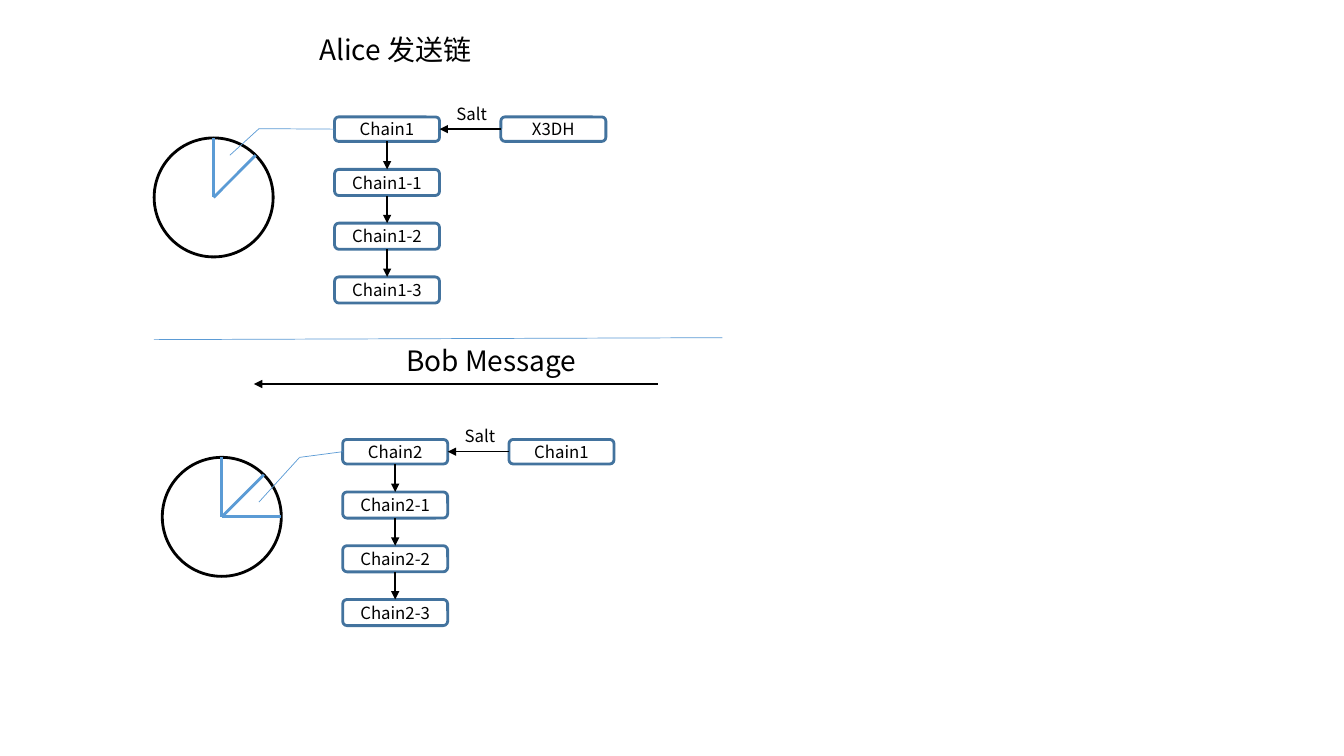
"""Draw the sending chains of Alice, before and after a message from Bob."""
from math import cos, radians, sin

from lxml import etree
from pptx import Presentation
from pptx.dml.color import RGBColor
from pptx.enum.shapes import MSO_CONNECTOR, MSO_SHAPE
from pptx.enum.text import MSO_ANCHOR, PP_ALIGN
from pptx.oxml.ns import qn
from pptx.util import Pt

STRAIGHT = MSO_CONNECTOR.STRAIGHT
ROUND, OVAL = MSO_SHAPE.ROUNDED_RECTANGLE, MSO_SHAPE.OVAL
MIDDLE, CENTER = MSO_ANCHOR.MIDDLE, PP_ALIGN.CENTER
BLACK = RGBColor(0x00, 0x00, 0x00)
BLUE = RGBColor(0x5B, 0x9B, 0xD5)
STEEL = RGBColor(0x43, 0x73, 0x9E)
FONT = "Noto Sans CJK SC"
TOP, LEFT, BOTTOM, RIGHT = range(4)
BOX_W, RADIUS = 75, 42.5

deck = Presentation()
deck.slide_width, deck.slide_height = Pt(960), Pt(540)
slide = deck.slides.add_slide(deck.slide_layouts[6])
shapes = slide.shapes


def write(shape, text, size):
    shape.text_frame.word_wrap = True
    para = shape.text_frame.paragraphs[0]
    para.text = text
    para.font.size = Pt(size)
    para.font.color.rgb = BLACK
    para.font.name = FONT
    etree.SubElement(para.font._element.find(qn("a:defRPr"))
                     if para.font._element.tag == qn("a:pPr")
                     else para.font._element, qn("a:ea"), typeface=FONT) \
        if hasattr(para.font, "_element") else \
        etree.SubElement(para.font._rPr, qn("a:ea"), typeface=FONT)
    return para


def link(start, end, color, width, arrow=False):
    line = shapes.add_connector(STRAIGHT, *map(Pt, start + end))
    line.line.color.rgb = color
    line.line.width = Pt(width)
    if arrow:
        etree.SubElement(line.line._get_or_add_ln(), qn("a:tailEnd"), type="triangle")
    etree.SubElement(line._element.spPr, qn("a:effectLst"))
    return line


chains = [
    (239, 83.5, ["Chain1", "Chain1-1", "Chain1-2", "Chain1-3"], "X3DH",
     (152.6, 141), [90, 45], (164.2, 110.9), (185, 91.9)),
    (244.8, 313.9, ["Chain2", "Chain2-1", "Chain2-2", "Chain2-3"], "Chain1",
     (158.4, 369.2), [90, 45, 0], (185, 358.6), (214, 326.7)),
]
for left, top, names, source, hub, angles, tip, bend in chains:
    x, y = hub
    dial = shapes.add_shape(OVAL, Pt(x - RADIUS), Pt(y - RADIUS),
                            Pt(2 * RADIUS), Pt(2 * RADIUS))
    dial.shadow.inherit = False
    dial.fill.background()
    dial.line.color.rgb = BLACK
    dial.line.width = Pt(2)
    for angle in map(radians, angles):
        link((x + RADIUS * cos(angle), y - RADIUS * sin(angle)), hub, BLUE, 2)

    spots = [(left, top, 17.5)]
    spots += [(left, top + 37.5 + 38.4 * row, 18.7) for row in range(3)]
    spots.append((left + 118.8, top, 17.5))
    boxes = []
    for name, (x, y, high) in zip(names + [source], spots):
        box = shapes.add_shape(ROUND, Pt(x), Pt(y), Pt(BOX_W), Pt(high))
        box.shadow.inherit = False
        box.fill.background()
        box.line.color.rgb = STEEL
        box.line.width = Pt(2)
        frame = box.text_frame
        frame.margin_top = frame.margin_bottom = 0
        frame.vertical_anchor = MIDDLE
        write(box, name, 12).alignment = CENTER
        boxes.append(box)

    *steps, salter = boxes
    joints = [(a, BOTTOM, b, TOP) for a, b in zip(steps, steps[1:])]
    joints.append((salter, LEFT, steps[0], RIGHT))
    for first, exit, last, entry in joints:
        arrow = link((0, 0), (0, 0), BLACK, 1, True)
        arrow.begin_connect(first, exit)
        arrow.end_connect(last, entry)

    link(tip, bend, BLUE, 0.5)
    link(bend, (left, top), BLUE, 0.5).end_connect(steps[0], LEFT)

    salt = shapes.add_textbox(Pt(left + 80), Pt(top - 13), Pt(39), Pt(21.6))
    write(salt, "Salt", 12)

link((110, 242.6), (516, 241.2), BLUE, 0.5)
link((470, 274.3), (181.4, 274.3), BLACK, 1, True)

for text, x, y, wide in [("Alice 发送链", 221, 19.4, 127), ("Bob Message", 283, 242, 144)]:
    write(shapes.add_textbox(Pt(x), Pt(y), Pt(wide), Pt(31.7)), text, 20)

deck.save("out.pptx")
